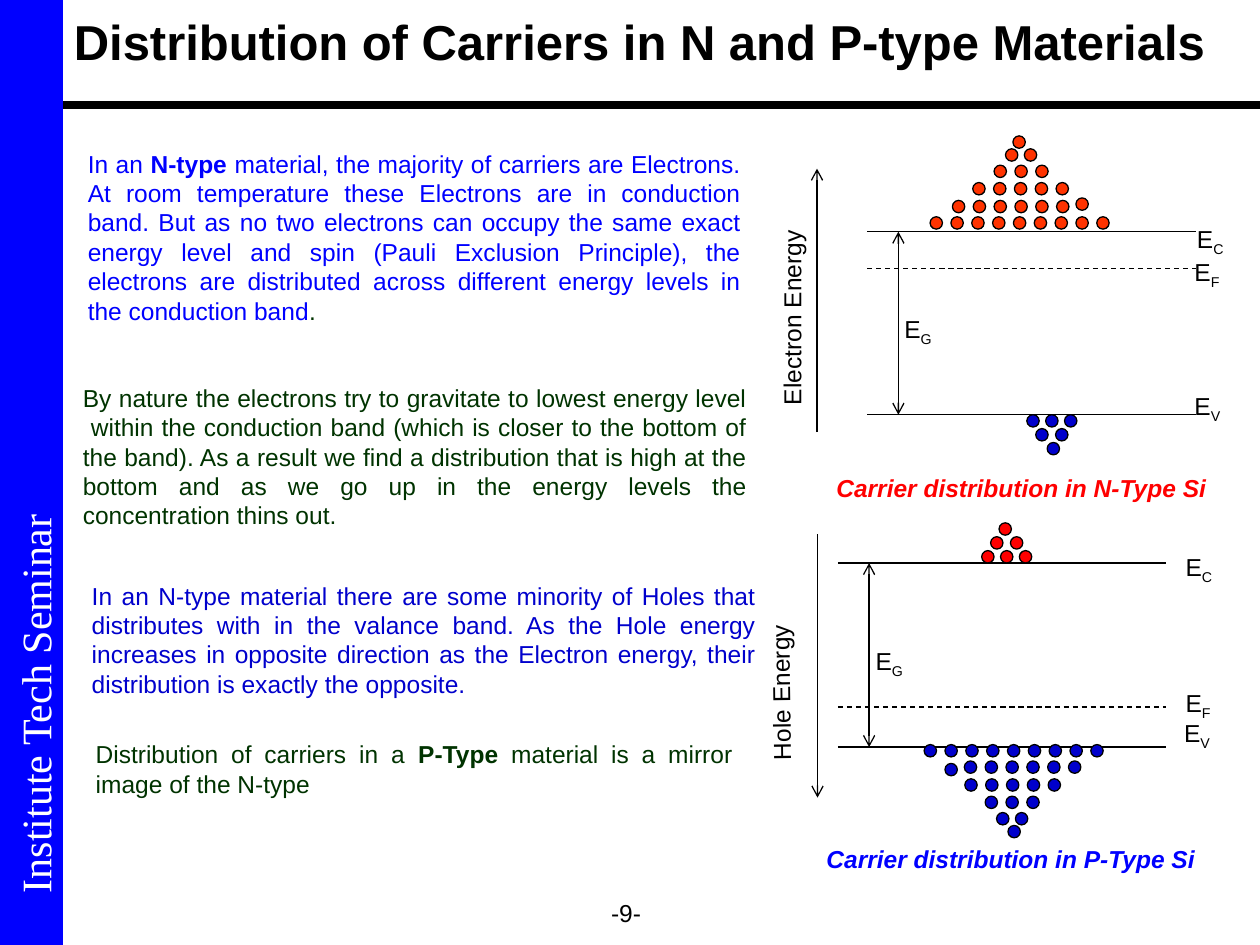
from lxml import etree
from pptx import Presentation
from pptx import util as u
from pptx.dml.color import RGBColor
from pptx.enum import dml, shapes, text
from pptx.oxml.ns import qn

COLOURS = {
    "black": "000000", "white": "FFFFFF", "blue": "0000FF", "navy": "0000CC",
    "green": "003300", "red": "FF0000", "orange": "FF3300",
}
DOT = 0.25
BAND_LENGTH = 6.62
GAP_OFFSET = 0.63
MAJORITY_ROWS = [
    (18.75, 4.37, 9, 0.42), (19.2, 4.04, 6, 0.42), (21.69, 3.99, 1, 0.42),
    (19.61, 3.68, 5, 0.42), (20.04, 3.33, 3, 0.42), (20.27, 3.0, 2, 0.38),
    (20.42, 2.74, 1, 0.38),
]
MINORITY_ROWS = [(20.7, 8.36, 3, 0.38), (20.88, 8.64, 2, 0.4), (21.11, 8.92, 1, 0.4)]

BODY = [
    ((1.52, 2.87, 13.67, 3.81), [
        ("In an ", {"colour": "blue"}),
        ("N-type", {"colour": "blue", "bold": True}),
        (" material, the majority of carriers are Electrons. At room temperature "
         "these Electrons are in conduction band. But as no two electrons can occupy "
         "the same exact energy level and spin (Pauli Exclusion Principle), the "
         "electrons are distributed across different energy levels in the conduction "
         "band", {"colour": "blue"}),
        (".", {"colour": "green"})]),
    ((1.42, 7.59, 13.89, 3.23), [
        ("By nature the electrons try to gravitate to lowest energy level  within the "
         "conduction band (which is closer to the bottom of the band). As a result we "
         "find a distribution that is high at the bottom and as we go up in the energy "
         "levels the concentration thins out.", {"colour": "green"})]),
    ((1.6, 11.58, 13.89, 2.64), [
        ("In an N-type material there are some minority of Holes that distributes with "
         "in the valance band. As the Hole energy increases in opposite direction as "
         "the Electron energy, their distribution is exactly the opposite.",
         {"colour": "navy"})]),
    ((1.68, 14.78, 13.34, 1.45), [
        ("Distribution of carriers in a ", {"colour": "green"}),
        ("P-Type", {"colour": "green", "bold": True}),
        (" material is a mirror image of the N-type", {"colour": "green"})]),
]

DIAGRAMS = [
    {"left": 17.48, "levels": (4.67, 5.41, 8.36), "energy": (16.47, 8.71, 3.4),
     "axis": ("Electron Energy", (13.77, 5.79, 4.39, 0.86), 270),
     "labels": {"C": (23.88, 4.39), "V": (23.83, 7.75),
                "G": (17.98, 6.2), "F": (23.83, 5.05)},
     "caption": ("Carrier distribution in N-Type Si", (16.61, 9.42, 8.79, 0.86), "red")},
    {"left": 16.89, "levels": (11.35, 14.25, 15.06), "energy": (16.48, 10.77, 16.08),
     "axis": ("Hole Energy", (13.54, 12.95, 4.39, 0.86), 269.2),
     "labels": {"C": (23.65, 11.0), "V": (23.62, 14.35),
                "G": (17.4, 12.9), "F": (23.65, 13.74)},
     "caption": ("Carrier distribution in P-Type Si", (16.41, 16.89, 8.79, 0.86), "blue")},
]


def colour(name):
    return RGBColor.from_string(COLOURS[name])


def lengths(values):
    return [u.Cm(value) for value in values]


def add_text(slide, place, runs, rotation=0, frame_format=None, paragraph_format=None):
    box = slide.shapes.add_textbox(*lengths(place))
    box.rotation = rotation
    frame = box.text_frame
    for key, value in {"word_wrap": True, **(frame_format or {})}.items():
        setattr(frame, key, value)
    paragraph = frame.paragraphs[0]
    for key, value in (paragraph_format or {}).items():
        setattr(paragraph, key, value)
    for words, changes in runs:
        run = paragraph.add_run()
        run.text = words
        style = {"name": "Arial", "size": u.Pt(14), "bold": False, **changes}
        run.font.color.rgb = colour(style.pop("colour", "black"))
        baseline = style.pop("baseline", None)
        if baseline:
            run.font._element.set("baseline", str(baseline))
        for key, value in style.items():
            setattr(run.font, key, value)


def add_line(slide, start, end, width=0.75, dashed=False, arrows=()):
    line = slide.shapes.add_connector(
        shapes.MSO_CONNECTOR.STRAIGHT, *lengths((*start, *end)))
    line.line.color.rgb = colour("black")
    line.line.width = u.Pt(width)
    if dashed:
        line.line.dash_style = dml.MSO_LINE.DASH
    for end_tag in arrows:
        etree.SubElement(line.line._get_or_add_ln(), qn("a:" + end_tag), type="arrow")
    etree.SubElement(line._element.spPr, qn("a:effectLst"))


def add_solid(slide, kind, place, fill, outlined=False):
    solid = slide.shapes.add_shape(kind, *lengths(place))
    solid.shadow.inherit = False
    solid.fill.solid()
    solid.fill.fore_color.rgb = colour(fill)
    if outlined:
        solid.line.color.rgb = colour("black")
        solid.line.width = u.Pt(0.75)
    else:
        solid.line.fill.background()


def add_carriers(slide, rows, fill, mirror=None):
    for left, top, count, pitch in rows:
        for index in range(count):
            x, y = left + index * pitch, top
            if mirror:
                x, y = mirror[0] - x, mirror[1] - y
            add_solid(slide, shapes.MSO_SHAPE.OVAL, (x, y, DOT, DOT), fill, True)


def add_band_diagram(slide, diagram):
    left = diagram["left"]
    conduction, fermi, valence = diagram["levels"]
    for level in diagram["levels"]:
        add_line(slide, (left, level), (left + BAND_LENGTH, level), dashed=level == fermi)
    gap = left + GAP_OFFSET
    add_line(slide, (gap, conduction), (gap, valence), arrows=("headEnd", "tailEnd"))
    energy, start, end = diagram["energy"]
    add_line(slide, (energy, start), (energy, end), arrows=("tailEnd",))
    axis, place, rotation = diagram["axis"]
    add_text(slide, place, [(axis, {})], rotation)
    for subscript, corner in diagram["labels"].items():
        add_text(slide, (*corner, 1.57, 0.94),
                 [("E", {}), (subscript, {"baseline": -25000})])
    caption, place, tint = diagram["caption"]
    add_text(slide, place, [(caption, {"colour": tint, "bold": True, "italic": True})])


def add_page_frame(slide):
    add_line(slide, (1.27, 2.11), (25.4, 2.11), width=4.5)
    add_solid(slide, shapes.MSO_SHAPE.RECTANGLE, (0, 0, 1.27, 19.05), "blue")
    add_text(slide, (-8.51, 8.69, 18.42, 1.07),
             [("Institute Tech Seminar",
               {"name": "Times New Roman", "size": u.Pt(24), "colour": "white"})],
             270, {"vertical_anchor": text.MSO_ANCHOR.MIDDLE, "margin_left": u.Cm(0.43)})
    add_text(slide, (12.07, 17.98, 1.7, 1.45), [("-9-", {})])
    add_text(slide, (1.24, 0, 24.16, 2.08),
             [("Distribution of Carriers in N and P-type Materials",
               {"size": u.Pt(28), "bold": True})],
             frame_format={"margin_top": u.Cm(0.23)})


def main():
    deck = Presentation()
    deck.slide_width, deck.slide_height = lengths((25.4, 19.05))
    slide = deck.slides.add_slide(deck.slide_layouts[6])
    add_page_frame(slide)
    justified = {"alignment": text.PP_ALIGN.JUSTIFY, "line_spacing": u.Pt(16.8)}
    for place, runs in BODY:
        add_text(slide, place, runs, paragraph_format=justified)
    for diagram in DIAGRAMS:
        add_band_diagram(slide, diagram)
    add_carriers(slide, MAJORITY_ROWS, "orange")
    add_carriers(slide, MINORITY_ROWS, "navy")
    add_carriers(slide, MAJORITY_ROWS, "navy", (40.74, 19.38))
    add_carriers(slide, MINORITY_ROWS, "red", (41.25, 19.46))
    deck.save("out.pptx")


main()
